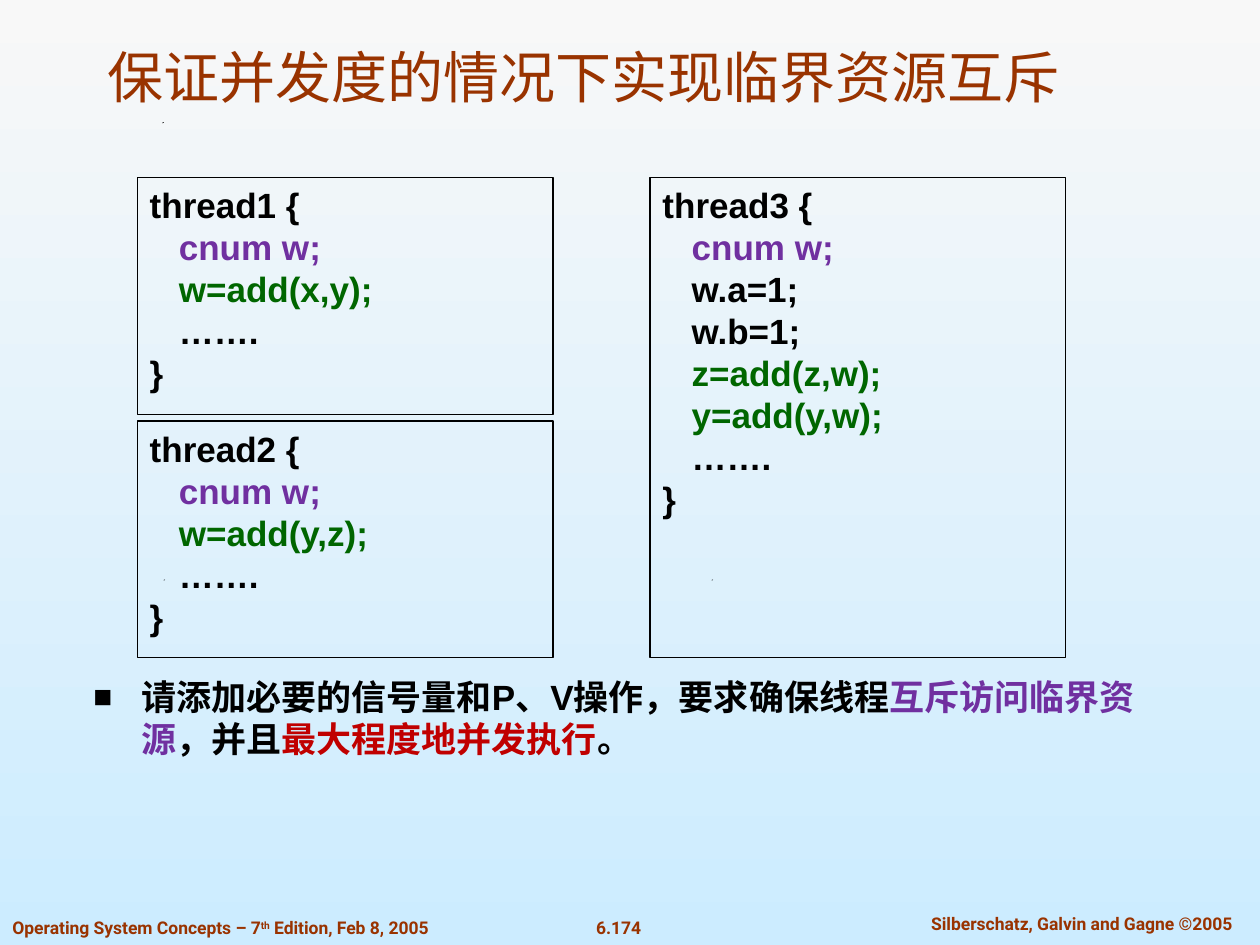
"""Build the slide on mutual exclusion with maximum concurrency."""
from lxml import etree
from pptx import Presentation
from pptx.dml.color import RGBColor
from pptx.enum import shapes, text
from pptx.oxml.ns import qn
from pptx.util import Inches, Pt

COLORS = {"brown": "993300", "black": "000000", "purple": "7030A0",
          "green": "006600", "red": "C00000", "top": "F8F8F8", "bottom": "CCECFF"}
TITLE = "保证并发度的情况下实现临界资源互斥"
TASK = [("请添加必要的信号量和P、V操作，要求确保线程", "black"), ("互斥访问临界资源", "purple"),
        ("，并且", "black"), ("最大程度地并发执行", "red"), ("。", "black")]
DECLARE, REST, END = ("   cnum w;", "purple"), ("   …….", "black"), ("}", "black")
THREADS = [
    ((1.09, 1.41, 3.3, 1.88),
     [("thread1 {", "black"), DECLARE, ("   w=add(x,y);", "green"), REST, END]),
    ((1.09, 3.34, 3.3, 1.88),
     [("thread2 {", "black"), DECLARE, ("   w=add(y,z);", "green"), REST, END]),
    ((5.16, 1.41, 3.3, 3.81),
     [("thread3 {", "black"), DECLARE, ("   w.a=1;", "black"), ("   w.b=1;", "black"),
      ("   z=add(z,w);", "green"), ("   y=add(y,w);", "green"), REST, END]),
]
FOOTERS = [
    ((0, 7.23, 4.11, 0.27), "LEFT", False,
     [("Operating System Concepts – 7", 0), ("th", 30000), (" Edition, Feb 8, 2005", 0)]),
    ((4.59, 7.23, 0.64, 0.27), "CENTER", False, [("6.174", 0)]),
    ((7.1, 7.2, 2.97, 0.27), "CENTER", True, [("Silberschatz, Galvin and Gagne ©2005", 0)]),
]
SPECKS = [(1.29, 0.97), (1.3, 4.6), (5.65, 4.6)]


def rgb(name):
    return RGBColor.from_string(COLORS[name])


def add_text(p, content, color="black", size=20, font="Arial", bold=True, baseline=0):
    r = p.add_run()
    r.text = content
    r.font.size, r.font.name, r.font.bold = Pt(size), font, bold
    r.font.color.rgb = rgb(color)
    if baseline:
        r.font._element.set("baseline", str(baseline))


def place(sp, box):
    sp.left, sp.top, sp.width, sp.height = map(Inches, box)


def add_bullet(p):
    pPr = p._p.get_or_add_pPr()
    pPr.set("marL", str(Inches(0.38)))
    pPr.set("indent", str(-Inches(0.38)))
    color = etree.SubElement(pPr, qn("a:buClr"))
    etree.SubElement(color, qn("a:srgbClr"), val=COLORS["black"])
    etree.SubElement(pPr, qn("a:buSzPct"), val="90000")
    etree.SubElement(pPr, qn("a:buFont"), typeface="Arial")
    etree.SubElement(pPr, qn("a:buChar"), char="■")


def set_background(s):
    fill = s.background.fill
    fill.gradient()
    fill.gradient_angle = 270
    for stop, name, position in zip(fill.gradient_stops, ("top", "bottom"), (0, 1)):
        stop.color.rgb, stop.position = rgb(name), position


def add_specks(s):
    for x, y in SPECKS:
        builder = s.shapes.build_freeform(Inches(x), Inches(y))
        builder.add_line_segments([(Inches(x + 0.01), Inches(y)),
                                   (Inches(x), Inches(y + 0.01))])
        sp = builder.convert_to_shape()
        sp.shadow.inherit = False
        sp.fill.solid()
        sp.fill.fore_color.rgb = rgb("black")
        sp.line.fill.background()


def add_footers(s):
    for box, align, wrap, runs in FOOTERS:
        tf = s.shapes.add_textbox(*map(Inches, box)).text_frame
        tf.word_wrap = wrap
        p = tf.paragraphs[0]
        p.alignment = text.PP_ALIGN[align]
        for content, baseline in runs:
            add_text(p, content, "brown", size=10, font="Roboto", baseline=baseline)


def add_title_and_task(s):
    title, body = s.placeholders
    for sp, box, anchor in ((title, (0.75, 0.25, 8.83, 0.67), "BOTTOM"),
                            (body, (0.64, 5.31, 8.68, 0.98), "TOP")):
        place(sp, box)
        tf = sp.text_frame
        tf.auto_size = text.MSO_AUTO_SIZE.NONE
        tf.vertical_anchor = text.MSO_ANCHOR[anchor]
        tf.paragraphs[0].alignment = text.PP_ALIGN.LEFT
        tf.paragraphs[0].space_before = Pt(0)
    add_text(title.text_frame.paragraphs[0], TITLE, "brown", size=32, bold=False)
    p = body.text_frame.paragraphs[0]
    add_bullet(p)
    for content, color in TASK:
        add_text(p, content, color)


def add_threads(s):
    for box, lines in THREADS:
        sp = s.shapes.add_shape(shapes.MSO_SHAPE.RECTANGLE, *map(Inches, box))
        sp.shadow.inherit = False
        sp.fill.background()
        sp.line.color.rgb, sp.line.width = rgb("black"), Pt(0.75)
        tf = sp.text_frame
        tf.vertical_anchor = text.MSO_ANCHOR.TOP
        for i, (content, color) in enumerate(lines):
            p = tf.add_paragraph() if i else tf.paragraphs[0]
            p.alignment = text.PP_ALIGN.LEFT
            add_text(p, content, color)


def main():
    prs = Presentation()
    prs.slide_width, prs.slide_height = Inches(10), Inches(7.5)
    s = prs.slides.add_slide(prs.slide_layouts[1])
    set_background(s)
    add_specks(s)
    add_footers(s)
    add_title_and_task(s)
    add_threads(s)
    prs.save("out.pptx")


if __name__ == "__main__":
    main()
